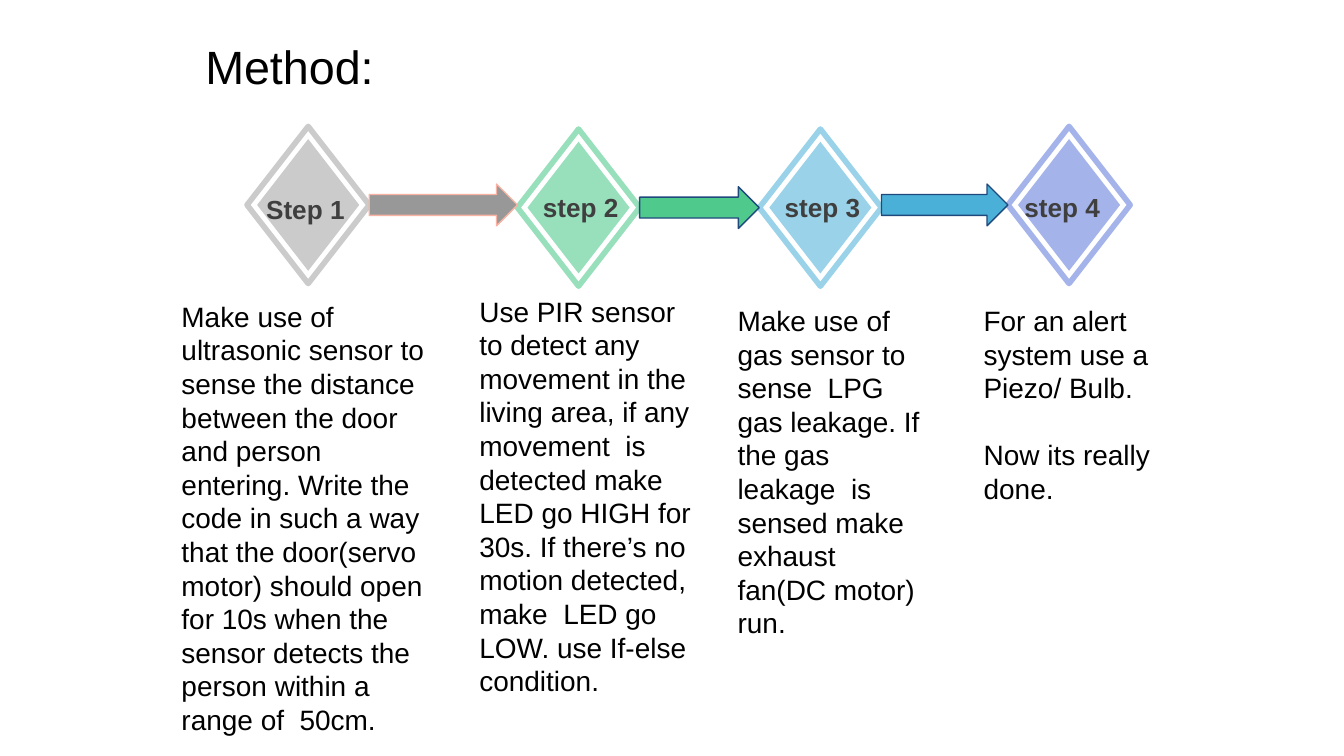
"""Build the four-step method slide."""
from pptx import Presentation
from pptx.dml.color import RGBColor
from pptx.enum.shapes import MSO_SHAPE
from pptx.enum.text import PP_ALIGN
from pptx.util import Cm, Pt

THEME = {
    "font": "Arial", "text": "000000", "label": "3F3F3F", "paper": "FFFFFF",
    "title_size": 25, "label_size": 14, "body_size": 15,
    "title_spacing": 31, "body_spacing": 18,
    "diamond_line": 3, "arrow_line": 0.75,
}

TITLE = ("Method:", (3.63, 0.43, 4.37, 1.55))

STEPS = [
    {"label": "Step 1", "color": "CBCBCB", "diamond": (4.67, 2.39),
     "label_box": (4.78, 3.53, 2.11, 0.79), "align": PP_ALIGN.LEFT,
     "body_box": (3.18, 5.41, 5.28, 8.08),
     "body": ["Make use of ultrasonic sensor to sense the distance between the door "
              "and person entering. Write the code in such a way that the door(servo "
              "motor) should open for 10s when the sensor detects the person within "
              "a range of  50cm."]},
    {"label": "step 2", "color": "98DFBB", "diamond": (9.78, 2.44),
     "label_box": (10.01, 3.48, 2.08, 0.79), "align": PP_ALIGN.LEFT,
     "body_box": (8.81, 5.31, 4.55, 8.51),
     "body": ["Use PIR sensor to detect any movement in the living area, if any "
              "movement  is detected make LED go HIGH for 30s. If there’s no motion "
              "detected, make  LED go LOW. use If-else condition."]},
    {"label": "step 3", "color": "9AD3E9", "diamond": (14.35, 2.44),
     "label_box": (14.58, 3.48, 2.11, 0.79), "align": PP_ALIGN.LEFT,
     "body_box": (13.69, 5.49, 4.14, 7.39),
     "body": ["Make use of gas sensor to sense  LPG gas leakage. If the gas leakage  "
              "is sensed make exhaust fan(DC motor) run."]},
    {"label": "step 4", "color": "A4B4EA", "diamond": (19.05, 2.39),
     "label_box": (18.92, 3.48, 2.31, 0.79), "align": PP_ALIGN.CENTER,
     "body_box": (18.34, 5.49, 3.71, 6.71),
     "body": ["For an alert system use a Piezo/ Bulb.", "Now its really done."]},
]

ARROWS = [("989898", "F8B2A3"), ("50C98C", "1F497D"), ("4BB0D8", "1F497D")]

OUTER_WIDTH, OUTER_HEIGHT = 2.31, 2.97
INNER_WIDTH, INNER_HEIGHT = 1.93, 2.49
ARROW_HEIGHT = 0.79


def add_shape(shapes, kind, box, fill, line=None, line_width=0):
    shape = shapes.add_shape(kind, *map(Cm, box))
    shape.shadow.inherit = False
    shape.fill.solid()
    shape.fill.fore_color.rgb = RGBColor.from_string(fill)
    if line:
        shape.line.color.rgb = RGBColor.from_string(line)
        shape.line.width = Pt(line_width)
    else:
        shape.line.fill.background()
    return shape


def add_text(shapes, paragraphs, box, size, color, margin=0.25, spacing=None,
             bold=False, align=PP_ALIGN.LEFT):
    text_frame = shapes.add_textbox(*map(Cm, box)).text_frame
    text_frame.word_wrap = True
    text_frame.margin_left = text_frame.margin_right = Cm(0.25)
    text_frame.margin_top = text_frame.margin_bottom = Cm(margin)
    text_frame.text = "\n".join(paragraphs)
    for index, paragraph in enumerate(text_frame.paragraphs):
        paragraph.alignment = align
        if spacing:
            paragraph.line_spacing = Pt(spacing)
            paragraph.space_before = Pt(spacing if index else 0)
        for run in paragraph.runs:
            run.font.name = THEME["font"]
            run.font.size = Pt(size)
            run.font.bold = bold
            run.font.color.rgb = RGBColor.from_string(color)


def add_diamond(shapes, step):
    left, top = step["diamond"]
    group = shapes.add_group_shape()
    add_shape(group.shapes, MSO_SHAPE.DIAMOND, (left, top, OUTER_WIDTH, OUTER_HEIGHT),
              THEME["paper"], step["color"], THEME["diamond_line"])
    inner_box = (left + (OUTER_WIDTH - INNER_WIDTH) / 2,
                 top + (OUTER_HEIGHT - INNER_HEIGHT) / 2, INNER_WIDTH, INNER_HEIGHT)
    add_shape(group.shapes, MSO_SHAPE.DIAMOND, inner_box, step["color"])


def add_arrow(shapes, start, end, fill, line):
    left = start["diamond"][0] + OUTER_WIDTH
    top = min(start["diamond"][1], end["diamond"][1]) + (OUTER_HEIGHT - ARROW_HEIGHT) / 2
    add_shape(shapes, MSO_SHAPE.RIGHT_ARROW,
              (left, top, end["diamond"][0] - left, ARROW_HEIGHT),
              fill, line, THEME["arrow_line"])


def main():
    presentation = Presentation()
    presentation.slide_width, presentation.slide_height = Cm(25.4), Cm(14.29)
    shapes = presentation.slides.add_slide(presentation.slide_layouts[6]).shapes
    for step in STEPS:
        add_diamond(shapes, step)
    for step in STEPS:
        add_text(shapes, [step["label"]], step["label_box"], THEME["label_size"],
                 THEME["label"], margin=0.13, bold=True, align=step["align"])
    for step in STEPS:
        add_text(shapes, step["body"], step["body_box"], THEME["body_size"],
                 THEME["text"], spacing=THEME["body_spacing"])
    title, title_box = TITLE
    add_text(shapes, [title], title_box, THEME["title_size"], THEME["text"],
             spacing=THEME["title_spacing"])
    for start, end, (fill, line) in zip(STEPS, STEPS[1:], ARROWS):
        add_arrow(shapes, start, end, fill, line)
    presentation.save("out.pptx")


if __name__ == "__main__":
    main()
